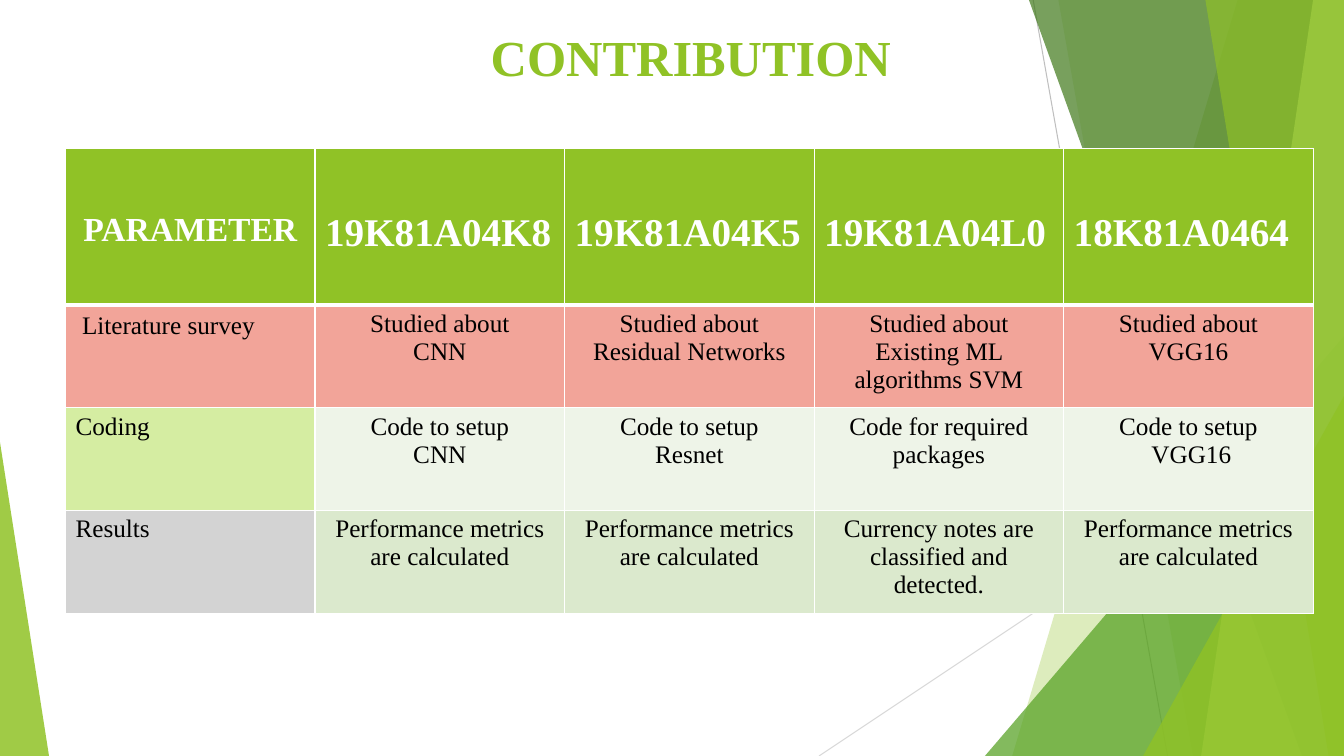
from dataclasses import dataclass

from lxml import etree
from pptx import Presentation
from pptx.dml.color import RGBColor
from pptx.enum import shapes, text
from pptx.oxml.ns import qn
from pptx.util import Pt


@dataclass(frozen=True)
class Theme:
    font: str = "Times New Roman"
    spacer_font: str = "Lato"
    white: str = "FFFFFF"
    black: str = "000000"
    green: str = "90C226"
    leaf: str = "54A021"
    forest: str = "3F7819"
    lime: str = "C0E474"
    grey: str = "BFBFBF"
    pale_grey: str = "D9D9D9"
    salmon: str = "F2A499"
    coding: str = "D5EDA2"
    coding_pale: str = "EEF4E8"
    results: str = "D3D3D3"
    results_pale: str = "DBE9CD"
    title_size: int = 36
    member_size: int = 28
    parameter_size: int = 24
    body_size: int = 18


class Deck:
    def __init__(self, theme, width, height):
        self.theme = theme
        self.file = Presentation()
        self.file.slide_width, self.file.slide_height = Pt(width), Pt(height)
        self.slide = self.file.slides.add_slide(self.file.slide_layouts[5])

    def line(self, start, end, color):
        ray = self.slide.shapes.add_connector(
            shapes.MSO_CONNECTOR.STRAIGHT, *map(Pt, start + end))
        ray.line.color.rgb = RGBColor.from_string(color)
        ray.line.width = Pt(0.75)
        etree.SubElement(ray.element.spPr, qn("a:effectLst"))

    def paint(self, shape, color, opacity):
        shape.shadow.inherit = False
        shape.line.fill.background()
        shape.fill.solid()
        shape.fill.fore_color.rgb = RGBColor.from_string(color)
        tint = next(shape.element.spPr.iter(qn("a:srgbClr")))
        etree.SubElement(tint, qn("a:alpha"), val=str(opacity * 1000))

    def facet(self, top_left, bottom_left, top_right, color, opacity):
        outline = self.slide.shapes.build_freeform(top_left, 0, scale=Pt(1))
        outline.add_line_segments([(top_right, 0), (960, 540), (bottom_left, 540)])
        self.paint(outline.convert_to_shape(), color, opacity)

    def triangle(self, box, apex, color, opacity):
        corner = self.slide.shapes.add_shape(
            shapes.MSO_SHAPE.ISOSCELES_TRIANGLE, *map(Pt, box))
        corner.adjustments[0] = apex
        self.paint(corner, color, opacity)

    def run(self, paragraph, words, size, color, bold=False, font=None):
        run = paragraph.add_run()
        run.text = words
        run.font.name = font or self.theme.font
        run.font.size = Pt(size)
        run.font.bold = bold
        run.font.color.rgb = RGBColor.from_string(color)

    def title(self, words, box):
        heading = self.slide.shapes.title
        heading.element.getparent().append(heading.element)
        heading.left, heading.top, heading.width, heading.height = map(Pt, box)
        frame = heading.text_frame
        frame.auto_size = text.MSO_AUTO_SIZE.NONE
        frame.vertical_anchor = text.MSO_ANCHOR.TOP
        frame.paragraphs[0].alignment = text.PP_ALIGN.CENTER
        self.run(frame.paragraphs[0], words, self.theme.title_size, self.theme.green, True)

    def table(self, left, top, column_width, row_heights, columns):
        grid = self.slide.shapes.add_table(
            len(row_heights), columns, Pt(left), Pt(top),
            Pt(column_width * columns), Pt(sum(row_heights))).table
        for column in grid.columns:
            column.width = Pt(column_width)
        for row, height in zip(grid.rows, row_heights):
            row.height = Pt(height)
        return grid

    def cell(self, cell, paragraphs, fill, size, color, centred, bold=False, edges=(1, 1)):
        cell.fill.solid()
        cell.fill.fore_color.rgb = RGBColor.from_string(fill)
        top, bottom = edges
        properties = cell._tc.get_or_add_tcPr()
        for place, (side, width) in enumerate(zip("LRTB", (1, 1, top, bottom))):
            border = etree.Element(qn(f"a:ln{side}"), w=str(Pt(width)))
            solid = etree.SubElement(border, qn("a:solidFill"))
            etree.SubElement(solid, qn("a:srgbClr"), val=self.theme.white)
            properties.insert(place, border)
        frame = cell.text_frame
        for index, runs in enumerate(paragraphs):
            paragraph = frame.add_paragraph() if index else frame.paragraphs[0]
            paragraph.alignment = text.PP_ALIGN.CENTER if centred else text.PP_ALIGN.LEFT
            for words, font in runs:
                self.run(paragraph, words, size, color, bold, font)


def plain(*lines):
    return [[(line, None)] for line in lines]


def backdrop(deck):
    theme = deck.theme
    deck.line((738, 0), (834, 540), theme.grey)
    deck.line((960, 290), (585, 540), theme.pale_grey)
    deck.facet(884, 723, 960, theme.green, 30)
    deck.facet(756, 852, 960, theme.green, 20)
    deck.triangle((703.5, 240, 256.5, 300), 1, theme.leaf, 72)
    deck.facet(735, 930, 960, theme.forest, 70)
    deck.facet(938, 858, 960, theme.lime, 70)
    deck.facet(861, 949, 960, theme.green, 65)
    deck.triangle((816.5, 283, 143.5, 257), 1, theme.green, 80)
    deck.triangle((0, 316, 35, 224), 0, theme.green, 85)


def contributions(deck):
    theme = deck.theme
    members = ["19K81A04K8", "19K81A04K5", "19K81A04L0", "18K81A0464"]
    metrics = plain("Performance metrics are calculated")
    tasks = [
        ([[(" ", theme.spacer_font), ("Literature survey", None)]],
         theme.salmon, theme.salmon,
         [plain("Studied about", topic) for topic in
          ("CNN", "Residual Networks", "Existing ML algorithms SVM", "VGG16")]),
        (plain("Coding"), theme.coding, theme.coding_pale,
         [plain("Code to setup", "CNN"), plain("Code to setup", "Resnet"),
          plain("Code for required packages"), plain("Code to setup", " VGG16")]),
        (plain("Results"), theme.results, theme.results_pale,
         [metrics, metrics, plain("Currency notes are classified and detected."), metrics]),
    ]
    grid = deck.table(46.8, 106.2, 178.25, [111.6] + [73.4] * 3, 5)
    for column, label in enumerate(["PARAMETER"] + members):
        size = theme.member_size if column else theme.parameter_size
        header = grid.cell(0, column)
        header.margin_top = Pt(45)
        deck.cell(header, plain(label), theme.green, size, theme.white,
                  column == 0, True, (1, 3))
    for row, (task, task_fill, work_fill, work) in enumerate(tasks, 1):
        for column, paragraphs in enumerate([task] + work):
            deck.cell(grid.cell(row, column), paragraphs,
                      work_fill if column else task_fill, theme.body_size,
                      theme.black, column > 0, edges=(3 if row == 1 else 1, 1))


def main():
    deck = Deck(Theme(), 960, 540)
    backdrop(deck)
    deck.title("CONTRIBUTION", (79.5, 15, 828, 102))
    contributions(deck)
    deck.file.save("out.pptx")


if __name__ == "__main__":
    main()
